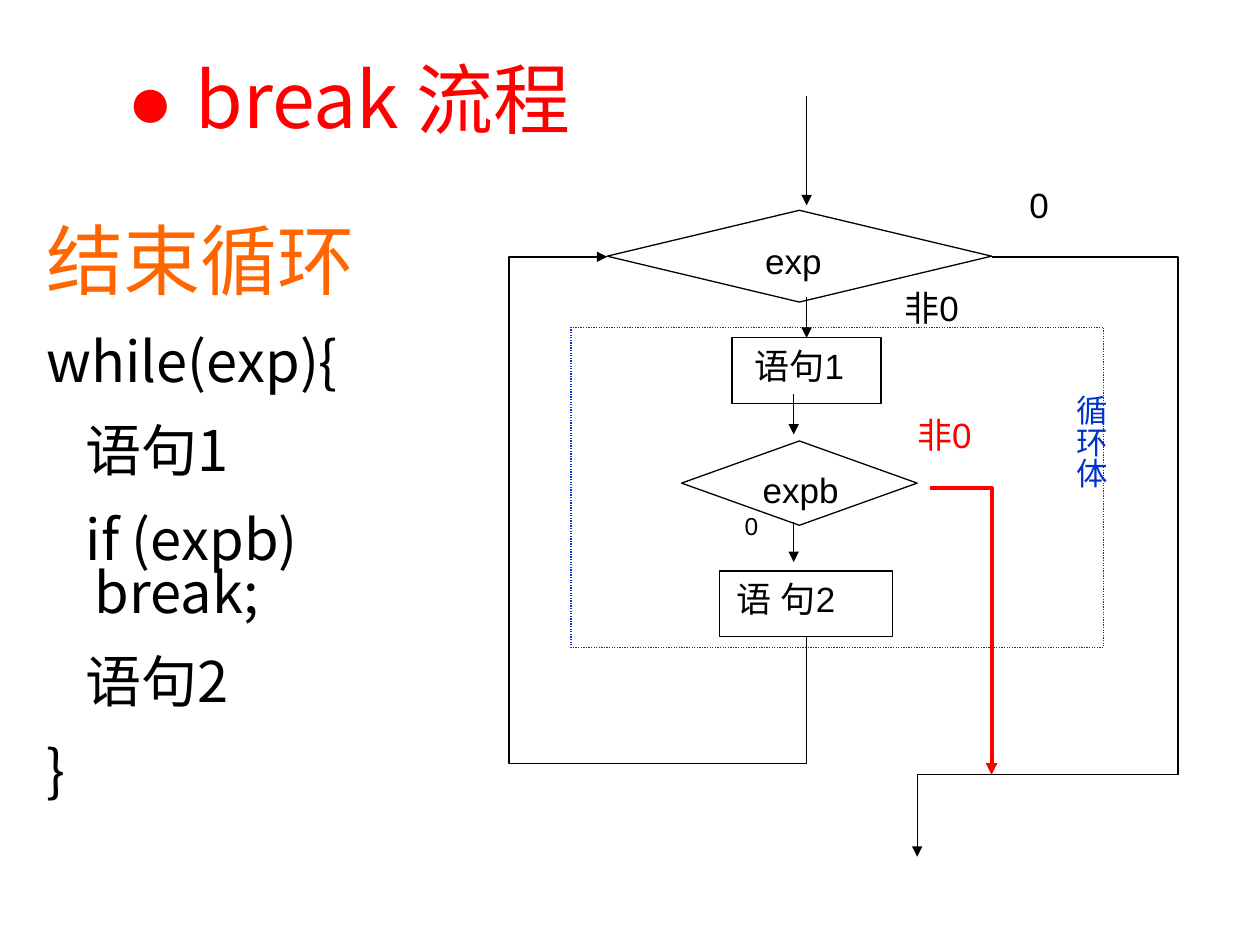
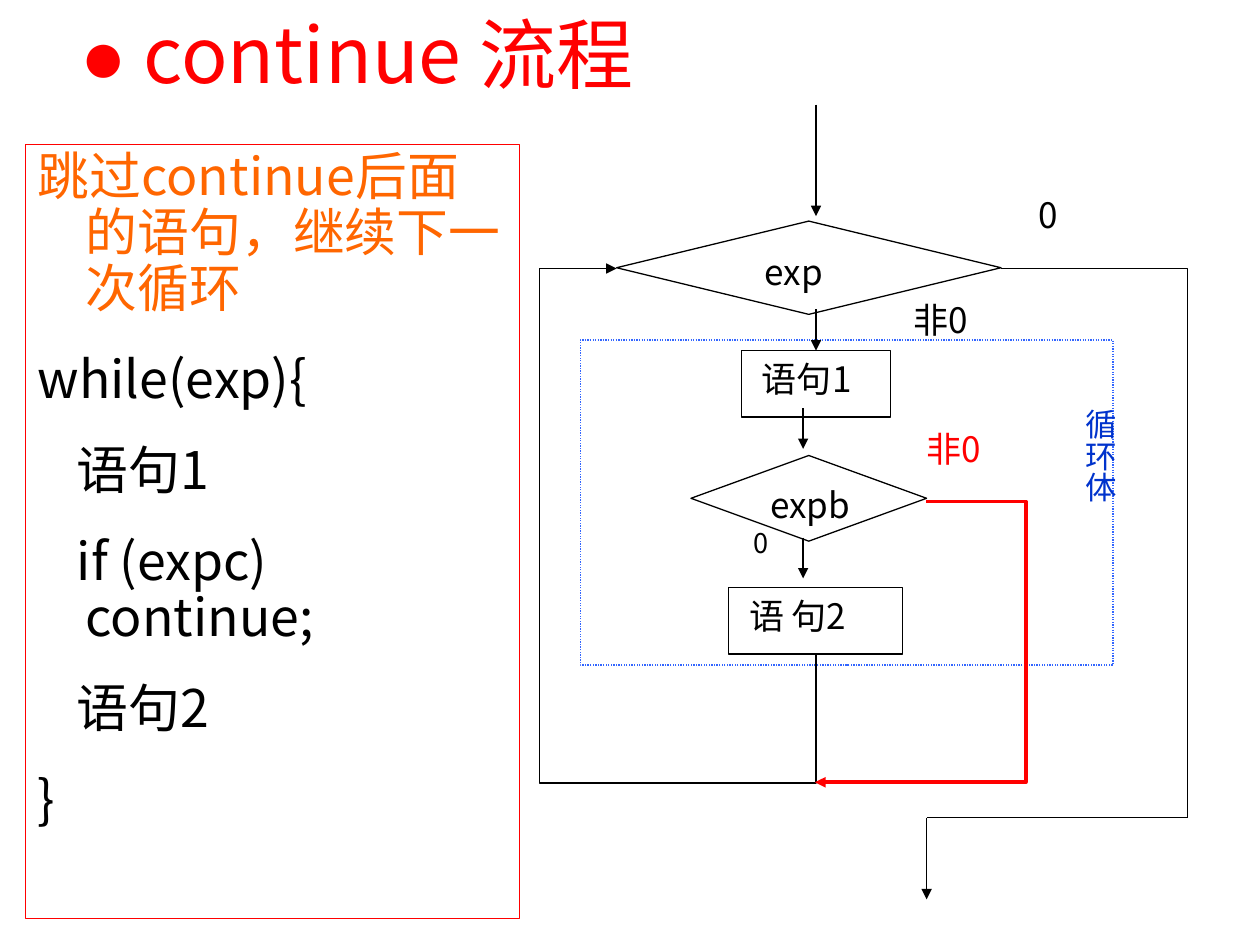
from lxml import etree
from pptx import Presentation
from pptx import util as u
from pptx.dml.color import RGBColor
from pptx.enum import dml, shapes, text
from pptx.oxml.ns import qn

ARIAL, NOTO = "Arial", "Noto Sans CJK SC"
RED, ORANGE, BLACK, WHITE, BLUE = "FF0000", "FF6600", "000000", "FFFFFF", "0033CC"
SPACE_WIDTH = {ARIAL: 0.2, NOTO: 0.16}
RECT = shapes.MSO_SHAPE.RECTANGLE
DECISION = shapes.MSO_SHAPE.FLOWCHART_DECISION

SLIDES = [
    dict(
        title=dict(at=(0.69, 0.91, 12.7, 2.54),
                   runs=[("● ", ARIAL), ("break 流程", NOTO)]),
        code=dict(at=(0.69, 4.52, 9.19, 12.01), border=None, spacing=0.8,
                  lead="结束循环", lead_size=44, size=32,
                  test="if (expb)\vbreak;"),
        chart=dict(shift=(0, 0), stretch=1, font=ARIAL, small=14, last_lead=0.45,
                   frame=BLUE, loop_left=10.26, exit_y=15.62,
                   jump=[(18.75, 9.83), (19.99, 9.83), (19.99, 15.62)],
                   jump_width=2.25),
    ),
    dict(
        title=dict(at=(0.36, 0, 13.66, 2.54),
                   runs=[("●", ARIAL), (" continue 流程", NOTO)]),
        code=dict(at=(0.51, 2.92, 9.96, 15.6), border=RED, spacing=0.9,
                  lead="跳过continue后面的语句，继续下一次循环", lead_size=29.6,
                  size=29.6, test="if (expc)\vcontinue;"),
        chart=dict(shift=(0.19, 0.15), stretch=1.016, font=NOTO, small=15.5,
                   last_lead=1, frame="3366FF", loop_left=10.87, exit_y=16.48,
                   jump=[(18.67, 10.11), (20.68, 10.11), (20.68, 15.77),
                         (16.43, 15.77)],
                   jump_width=2),
    ),
]

BOXES = [
    ("yes", RECT, (17.98, 5.64, 2.49, 1.35), "非0", {}),
    ("loop body", RECT, (11.51, 6.6, 10.74, 6.45), "", {}),
    ("no", RECT, (20.5, 3.56, 1.75, 1.12), "0", {}),
    ("exp", DECISION, (12.24, 4.24, 7.75, 1.85), "exp", dict(border=BLACK, lead=5)),
    ("statement 1", RECT, (14.76, 6.81, 3, 1.32), "语句1", dict(border=BLACK, lead=1)),
    ("go on", RECT, (14.76, 10.29, 0.99, 0.94), "0", {}),
    ("expb", DECISION, (13.74, 8.89, 4.75, 1.7), "expb", dict(border=BLACK, lead=1)),
    ("statement 2", RECT, (14.5, 11.51, 3.5, 1.32), "语 句2", dict(border=BLACK)),
    ("jump", RECT, (18.24, 8.2, 2.31, 1.4), "非0", dict(color=RED)),
]
LOOP_LABEL = (21.23, 7.72, 1.27, 3.25)
ARROWS = [
    (16.26, 1.93, 4.14, None),
    (16.26, 5.99, 6.81, "statement 1"),
    (16, 7.95, 8.76, None),
    (16, 10.52, 11.33, None),
]
LOOP_START, LOOP_END, LOOP_BOTTOM = (16.26, 12.83), (12.24, 5.18), 15.39
EXIT_START, EXIT_RIGHT, EXIT_X, EXIT_DROP = (19.99, 5.18), 23.75, 18.49, 1.65


def rgb(value):
    return RGBColor.from_string(value)


def cm(values):
    return [u.Cm(v) for v in values]


def style_line(sp, color, width=0.75, arrow=False):
    sp.line.color.rgb = rgb(color)
    sp.line.width = u.Pt(width)
    if arrow:
        ln = sp.line._get_or_add_ln()
        etree.SubElement(ln, qn("a:tailEnd"), type="triangle")


def add_line(s, start, end, arrow=False, elbow=False):
    kind = shapes.MSO_CONNECTOR.ELBOW if elbow else shapes.MSO_CONNECTOR.STRAIGHT
    line = s.shapes.add_connector(kind, *cm(start + end))
    style_line(line, BLACK, arrow=arrow)
    etree.SubElement(line._element.spPr, qn("a:effectLst"))
    return line


def set_elbow(line, preset, adjustments=()):
    geom = line._element.spPr.find(qn("a:prstGeom"))
    geom.set("prst", preset)
    guides = geom.find(qn("a:avLst"))
    for i, value in enumerate(adjustments, 1):
        etree.SubElement(guides, qn("a:gd"), name=f"adj{i}",
                         fmla=f"val {round(value * 100000)}")


def add_box(s, kind, at, fill=WHITE, border=None):
    sp = s.shapes.add_shape(kind, *cm(at))
    sp.shadow.inherit = False
    if fill:
        sp.fill.solid()
        sp.fill.fore_color.rgb = rgb(fill)
    else:
        sp.fill.background()
    if border:
        style_line(sp, border)
    else:
        sp.line.fill.background()
    return sp


def frame_text(sp, insets=(0.25, 0.13, 0.25, 0.13)):
    tf = sp.text_frame
    formats = dict(word_wrap=True, vertical_anchor=text.MSO_ANCHOR.TOP)
    sides = ("margin_left", "margin_top", "margin_right", "margin_bottom")
    formats.update(zip(sides, cm(insets)))
    for name, value in formats.items():
        setattr(tf, name, value)
    return tf


def style_run(r, size, font, color):
    for name, value in dict(size=u.Pt(size), name=font).items():
        setattr(r.font, name, value)
    r.font.color.rgb = rgb(color)
    etree.SubElement(r._r.get_or_add_rPr(), qn("a:ea"), typeface=font)


def write(p, content, size, font, color, align=text.PP_ALIGN.LEFT):
    p.text = content
    p.alignment = align
    for r in p.runs:
        style_run(r, size, font, color)


def add_title(s, at, runs):
    p = frame_text(add_box(s, RECT, at)).paragraphs[0]
    p.alignment = text.PP_ALIGN.CENTER
    for content, font in runs:
        r = p.add_run()
        r.text = content
        style_run(r, 44, font, RED)


def add_code(s, at, border, spacing, lead, lead_size, size, test):
    tf = frame_text(add_box(s, RECT, at, None, border))
    rows = [(lead, -0.97), ("while(exp){", -0.97), ("语句1", -0.18),
            (test, -0.18), ("语句2", -0.18), ("}", -0.97)]
    for i, (content, indent) in enumerate(rows):
        p = tf.add_paragraph() if i else tf.paragraphs[0]
        pPr = p._p.get_or_add_pPr()
        pPr.set("marL", str(u.Cm(0.97)))
        pPr.set("indent", str(u.Cm(indent)))
        p.line_spacing = spacing
        if i:
            p.space_before = u.Pt(20)
        write(p, content, size if i else lead_size, NOTO, BLACK if i else ORANGE)


def add_chart_flow(s, shift, stretch, font, small, last_lead, frame, loop_left,
                   exit_y, jump, jump_width):
    def place(x, y):
        return x + shift[0], shift[1] + stretch * y

    def place_box(x, y, w, h):
        return place(x, y) + (w, h * stretch)

    boxes = {}
    for name, kind, at, content, look in BOXES:
        sp = boxes[name] = add_box(s, kind, place_box(*at), border=look.get("border"))
        if not content:
            style_line(sp, frame)
            sp.line.dash_style = dml.MSO_LINE.ROUND_DOT
            continue
        lead = last_lead if name == "statement 2" else look.get("lead", 0)
        left = 0.25 + lead * SPACE_WIDTH[font]
        p = frame_text(sp, (left, 0.13, 0.25, 0.13)).paragraphs[0]
        if name == "go on":
            p.line_spacing = 0.8
        write(p, content, small if name == "go on" else 20, font,
              look.get("color", BLACK))

    label = s.shapes.add_textbox(*cm(place_box(*LOOP_LABEL)))
    tf = frame_text(label, (0.13, 0.25, 0.13, 0.25))
    tf._txBody.bodyPr.set("vert", "eaVert")
    write(tf.paragraphs[0], "循环体", 18, ARIAL, BLUE)

    for x, top, bottom, target in ARROWS:
        line = add_line(s, place(x, top), place(x, bottom), arrow=True)
        if target:
            line.end_connect(boxes[target], 0)

    add_loop(s, place(*LOOP_START), place(*LOOP_END),
             place(0, LOOP_BOTTOM)[1], loop_left)

    right, drop_x = EXIT_RIGHT + shift[0], EXIT_X + shift[0]
    way_out = add_line(s, place(*EXIT_START), (right, exit_y), elbow=True)
    set_elbow(way_out, "bentConnector2")
    add_line(s, (right, exit_y), (drop_x, exit_y))
    add_line(s, (drop_x, exit_y), (drop_x, exit_y + EXIT_DROP), arrow=True)

    points = [cm(point) for point in jump]
    builder = s.shapes.build_freeform(*points[0])
    builder.add_line_segments(points[1:], close=False)
    route = builder.convert_to_shape()
    route.shadow.inherit = False
    route.fill.background()
    style_line(route, RED, jump_width, arrow=True)


def add_loop(s, start, end, bottom, left):
    across, rise = start[0] - end[0], start[1] - end[1]
    mid_x, mid_y = (start[0] + end[0]) / 2, (start[1] + end[1]) / 2
    line = add_line(s, (mid_x - rise / 2, mid_y - across / 2),
                    (mid_x + rise / 2, mid_y + across / 2), arrow=True, elbow=True)
    xfrm = line._element.spPr.find(qn("a:xfrm"))
    xfrm.set("rot", str(270 * 60000))
    xfrm.set("flipV", "1")
    set_elbow(line, "bentConnector4",
              ((start[1] - bottom) / rise, (start[0] - left) / across))


def main():
    prs = Presentation()
    prs.slide_width, prs.slide_height = u.Cm(25.4), u.Cm(19.05)
    for content in SLIDES:
        s = prs.slides.add_slide(prs.slide_layouts[6])
        add_title(s, **content["title"])
        add_code(s, **content["code"])
        add_chart_flow(s, **content["chart"])
    prs.save("out.pptx")


if __name__ == "__main__":
    main()
